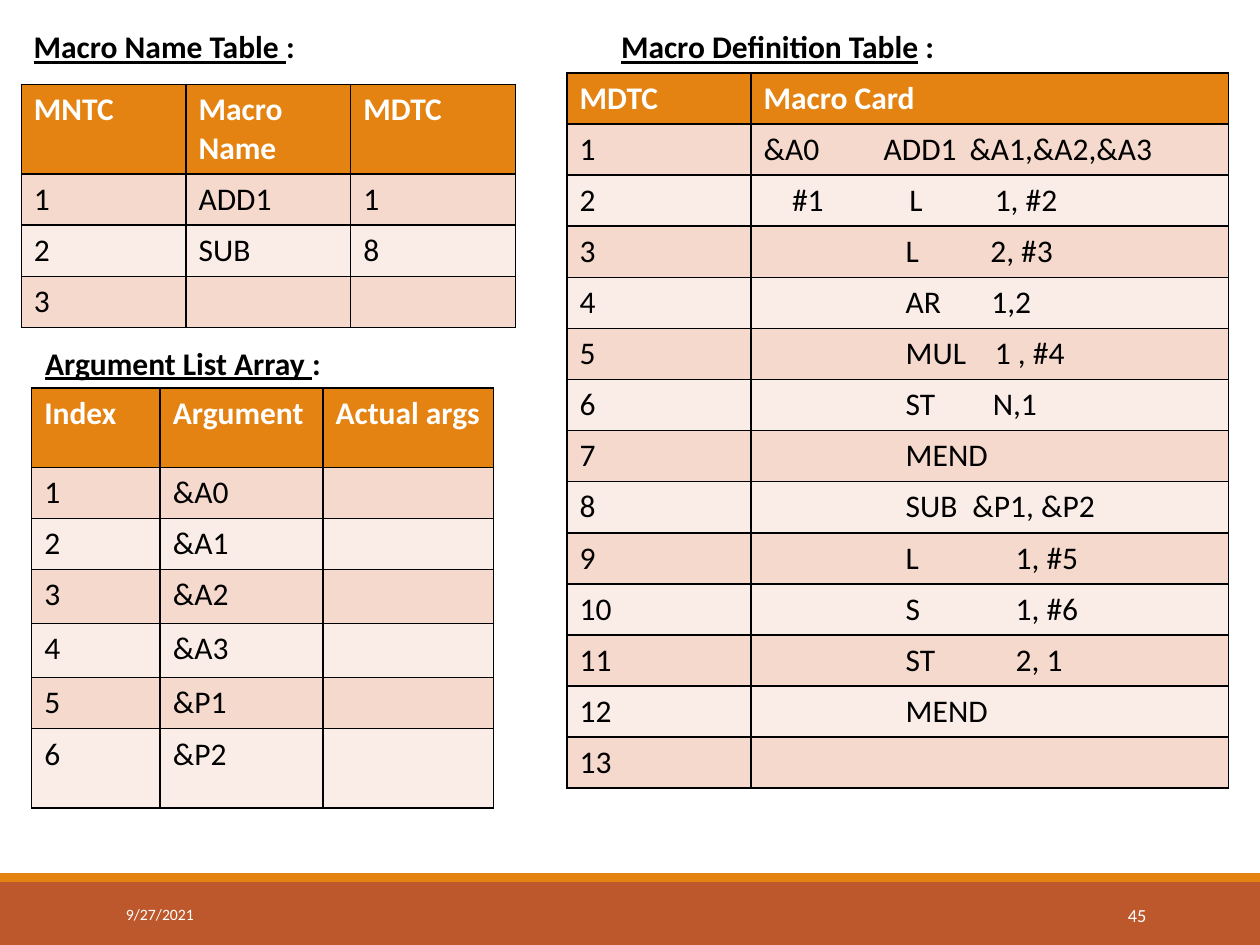
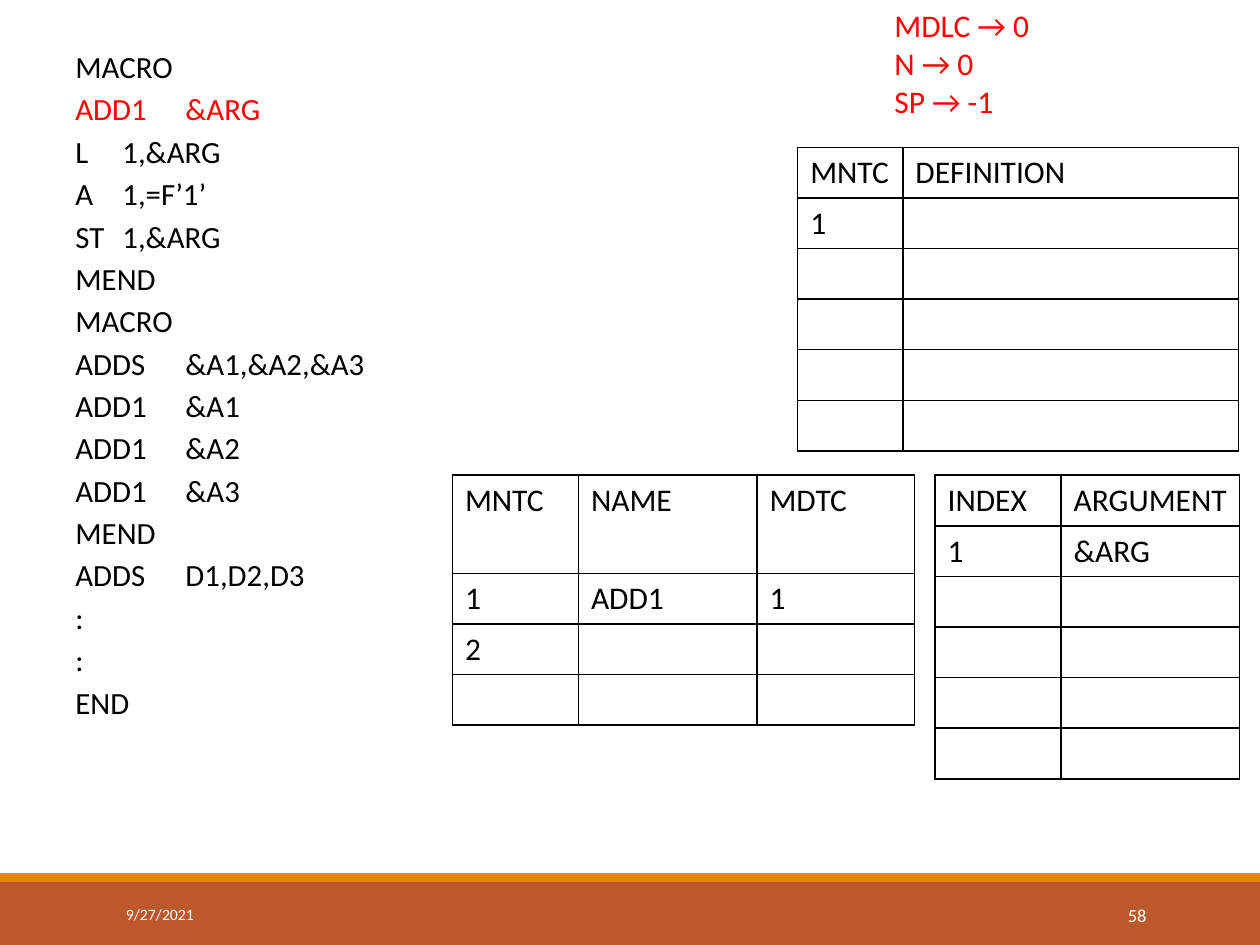
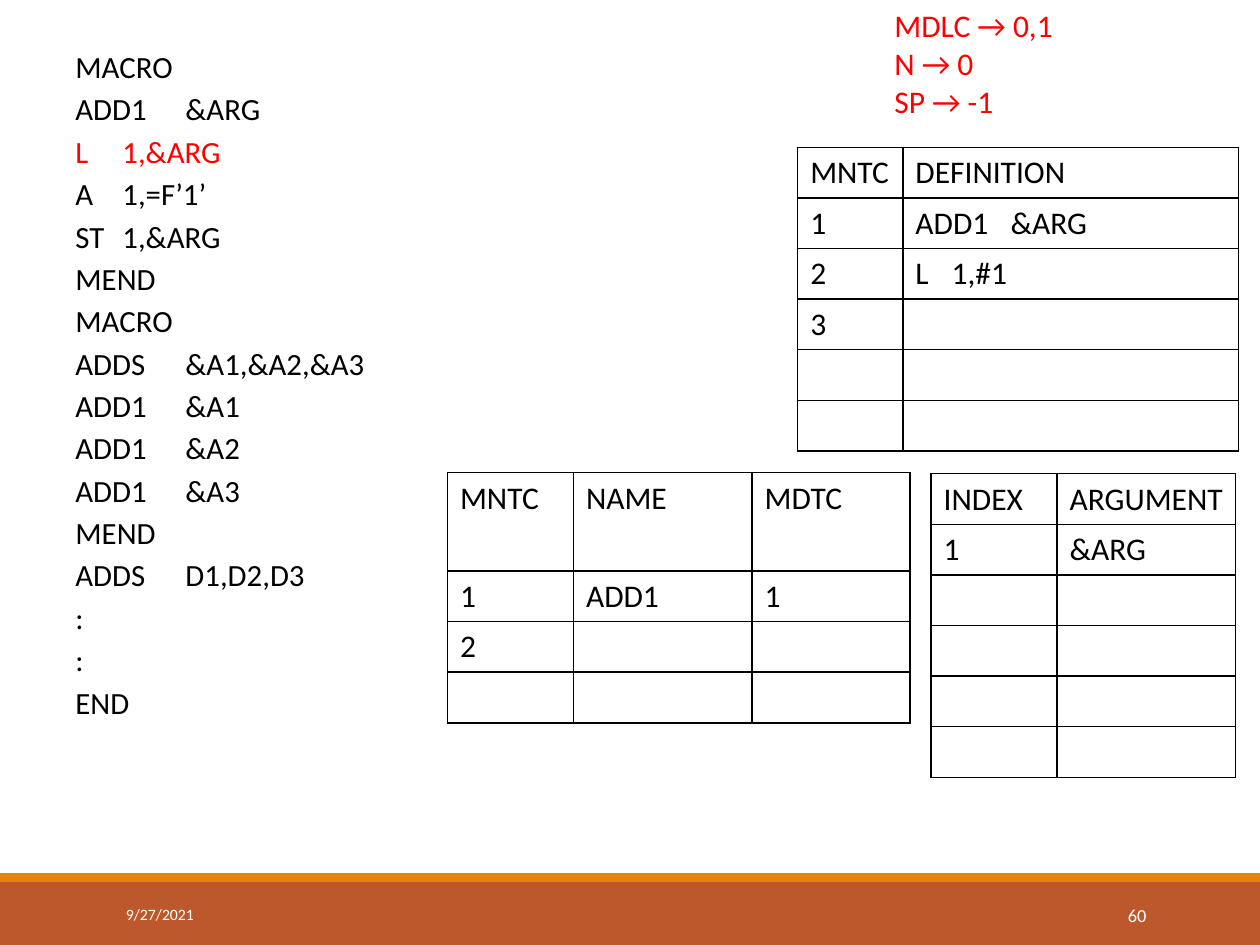
from dataclasses import dataclass
from typing import NamedTuple

from lxml.etree import SubElement
from pptx import Presentation
from pptx.dml.color import RGBColor
from pptx.enum.shapes import MSO_SHAPE
from pptx.enum.text import MSO_ANCHOR, PP_ALIGN
from pptx.oxml.ns import qn
from pptx.util import Cm, Pt

FONT = "Calibri"
BLACK, WHITE, RED = "000000", "FFFFFF", "FF0000"
ORANGE, RUST = "E48312", "BD582C"
BAND_FILLS = ("FAEDE7", "F5D9CC")
DATE = "9/27/2021"
ROW = 1.03
TALL_ROW = 1.98
OPERATION = " " * 20

SOURCE_LINES = (
    "MACRO", "ADD1\t&ARG", "L\t1,&ARG", "A\t1,=F’1’", "ST\t1,&ARG", "MEND",
    "MACRO", "ADDS\t&A1,&A2,&A3", "ADD1\t&A1", "ADD1\t&A2", "ADD1\t&A3", "MEND",
    "ADDS\tD1,D2,D3", ":", ":", "END",
)


class Code(NamedTuple):
    """A line of assembler whose tabs go to the given stops, in cm."""
    text: str
    stops: tuple[float, ...] = ()


class Heading(NamedTuple):
    left: float
    top: float
    underlined: str
    ending: str


class Band(NamedTuple):
    top: float
    height: float
    fill: str


@dataclass
class Grid:
    """A table; rows that are short or missing are left empty."""
    left: float
    top: float
    columns: tuple[float, ...]
    heights: tuple[float, ...]
    rows: tuple[tuple[str | Code, ...], ...]
    banded: bool = False

    def entry(self, row: int, column: int) -> Code:
        cells = self.rows[row] if row < len(self.rows) else ()
        value = cells[column] if column < len(cells) else ""
        return value if isinstance(value, Code) else Code(value)


@dataclass
class Step:
    """One moment of the macro pass."""
    number: int
    active_line: int
    counter: str
    definitions: tuple[tuple[str | Code, ...], ...]
    names_at: tuple[float, float]
    arguments_at: tuple[float, float]


BANDS = (Band(17.78, 1.27, RUST), Band(17.6, 0.18, ORANGE))

HEADINGS = (
    Heading(12.27, 0.43, "Macro Definition Table", " :"),
    Heading(0.43, 0.43, "Macro Name Table ", ":"),
    Heading(0.66, 6.81, "Argument List Array ", ":"),
)

CARDS = (
    Code("&A0\tADD1\t&A1,&A2,&A3", (2.42, 4.15)),
    Code("    #1\tL\t1, #2", (2.94, 4.66)),
    Code(f"{OPERATION}L\t2, #3", (4.57,)),
    Code(f"{OPERATION}AR\t1,2", (4.59,)),
    Code(f"{OPERATION}MUL\t1 , #4", (4.66,)),
    Code(f"{OPERATION}ST\tN,1", (4.62,)),
    Code(f"{OPERATION}MEND"),
    Code(f"{OPERATION}SUB\t&P1, &P2", (4.21,)),
    Code(f"{OPERATION}L\t1, #5", (5.08,)),
    Code(f"{OPERATION}S\t1, #6", (5.08,)),
    Code(f"{OPERATION}ST\t2, 1", (5.08,)),
    Code(f"{OPERATION}MEND"),
    "",
)
ARGUMENTS = ("&A0", "&A1", "&A2", "&A3", "&P1", "&P2")

SUMMARY_GRIDS = (
    Grid(0.43, 1.7, (3.32,) * 3, (1.81,) + (ROW,) * 3,
         (("MNTC", "Macro Name", "MDTC"), ("1", "ADD1", "1"), ("2", "SUB", "8"), ("3",)),
         banded=True),
    Grid(11.43, 1.47, (3.71, 9.63), (ROW,) * 14,
         (("MDTC", "Macro Card"),
          *((str(index), card) for index, card in enumerate(CARDS, 1))),
         banded=True),
    Grid(0.64, 7.82, (2.59, 3.28, 3.44), (1.6, ROW, ROW, 1.09, 1.09, ROW, 1.6),
         (("Index", "Argument", "Actual args"),
          *((str(index), name) for index, name in enumerate(ARGUMENTS, 1))),
         banded=True),
)

STEPS = (
    Step(58, 1, "0", (("1",),), (9.12, 9.58), (18.85, 9.58)),
    Step(60, 2, "0,1",
         (("1", Code("ADD1\t&ARG", (1.92,))), ("2", Code("L\t1,#1", (0.73,))), ("3",)),
         (9.02, 9.53), (18.77, 9.55)),
)


def color(value: str) -> RGBColor:
    return RGBColor.from_string(value)


def write(paragraph, text: str, *, size: float = 18, fill: str = BLACK,
          bold: bool = False, underline: bool = False) -> None:
    span = paragraph.add_run()
    span.text = text
    font = span.font
    font.name, font.size = FONT, Pt(size)
    font.bold, font.underline = bold, underline
    font.color.rgb = color(fill)


def set_tab_stops(paragraph, stops: tuple[float, ...]) -> None:
    if stops:
        tabs = SubElement(paragraph._p.get_or_add_pPr(), qn("a:tabLst"))
        for stop in stops:
            SubElement(tabs, qn("a:tab"), pos=str(int(Cm(stop))), algn="l")


def add_box(page, left: float, top: float, width: float, height: float):
    """Add a wrapping text box and return its text frame."""
    box = page.shapes.add_textbox(Cm(left), Cm(top), Cm(width), Cm(height))
    box.text_frame.word_wrap = True
    return box.text_frame


def add_lines(frame, count: int) -> list:
    return [frame.paragraphs[0]] + [frame.add_paragraph() for _ in range(count - 1)]


def set_borders(cell) -> None:
    properties = cell._tc.get_or_add_tcPr()
    for side in ("lnL", "lnR", "lnT", "lnB"):
        line = SubElement(properties, qn(f"a:{side}"), w=str(int(Pt(1))))
        fill = SubElement(line, qn("a:solidFill"))
        SubElement(fill, qn("a:srgbClr"), val=BLACK)


def add_grid(page, grid: Grid) -> None:
    frame = page.shapes.add_table(
        len(grid.heights), len(grid.columns), Cm(grid.left), Cm(grid.top),
        Cm(sum(grid.columns)), Cm(sum(grid.heights)))
    table = frame.table
    table.first_row = table.horz_banding = False
    for column, width in zip(table.columns, grid.columns):
        column.width = Cm(width)
    for row, height in enumerate(grid.heights):
        table.rows[row].height = Cm(height)
        header = grid.banded and row == 0
        for column in range(len(grid.columns)):
            cell = table.cell(row, column)
            set_borders(cell)
            if grid.banded:
                cell.fill.solid()
                cell.fill.fore_color.rgb = color(ORANGE if header else BAND_FILLS[row % 2])
            else:
                cell.fill.background()
            entry = grid.entry(row, column)
            if entry.text:
                para = cell.text_frame.paragraphs[0]
                set_tab_stops(para, entry.stops)
                write(para, entry.text, fill=WHITE if header else BLACK, bold=header)


def add_page(deck, number: int):
    """Add a slide with the bands, the date and the page number."""
    page = deck.slides.add_slide(deck.slide_layouts[6])
    for band in BANDS:
        shape = page.shapes.add_shape(
            MSO_SHAPE.RECTANGLE, 0, Cm(band.top), deck.slide_width, Cm(band.height))
        shape.shadow.inherit = False
        shape.fill.solid()
        shape.fill.fore_color.rgb = color(band.fill)
        shape.line.fill.background()
    for left, width, text, size, align in (
            (20.62, 2.74, str(number), 10.5, PP_ALIGN.RIGHT),
            (2.29, 5.16, DATE, 9, PP_ALIGN.LEFT)):
        frame = add_box(page, left, 17.93, width, 1.02)
        frame.vertical_anchor = MSO_ANCHOR.MIDDLE
        frame.paragraphs[0].alignment = align
        write(frame.paragraphs[0], text, size=size, fill=WHITE)
    return page


def add_source(page, active_line: int) -> None:
    """List the assembler source with the active line in red."""
    frame = add_box(page, 1.27, 0.84, 8.05, 12.57)
    for index, para in enumerate(add_lines(frame, len(SOURCE_LINES))):
        properties = para._p.get_or_add_pPr()
        properties.set("marL", str(int(Cm(0.95))))
        properties.set("indent", str(int(Cm(-0.95))))
        if index:
            para.space_before = Pt(3.1)
        write(para, SOURCE_LINES[index], size=17.6,
              fill=RED if index == active_line else BLACK)


def add_summary(deck) -> None:
    page = add_page(deck, 45)
    for grid in SUMMARY_GRIDS:
        add_grid(page, grid)
    for heading in HEADINGS:
        para = add_box(page, heading.left, heading.top, 11.23, 1.02).paragraphs[0]
        write(para, heading.underlined, bold=True, underline=True)
        write(para, heading.ending, bold=True)


def add_step(deck, step: Step) -> None:
    page = add_page(deck, step.number)
    add_source(page, step.active_line)
    counters = (f"MDLC → {step.counter}", "N → 0", "SP → -1")
    frame = add_box(page, 17.78, 0, 7.62, 2.57)
    for para, text in zip(add_lines(frame, len(counters)), counters):
        write(para, text, fill=RED)
    add_grid(page, Grid(16.08, 2.97, (2.12, 6.77), (1.02,) * 6,
                        (("MNTC", "DEFINITION"), *step.definitions)))
    add_grid(page, Grid(*step.arguments_at, (2.54, 3.6), (1.02,) * 6,
                        (("INDEX", "ARGUMENT"), ("1", "&ARG"))))
    add_grid(page, Grid(*step.names_at, (2.54, 3.6, 3.18), (TALL_ROW,) + (1.02,) * 3,
                        (("MNTC", "NAME", "MDTC"), ("1", "ADD1", "1"), ("2",))))


def main() -> None:
    deck = Presentation()
    deck.slide_width, deck.slide_height = Cm(25.4), Cm(19.05)
    add_summary(deck)
    for step in STEPS:
        add_step(deck, step)
    deck.save("out.pptx")


if __name__ == "__main__":
    main()
